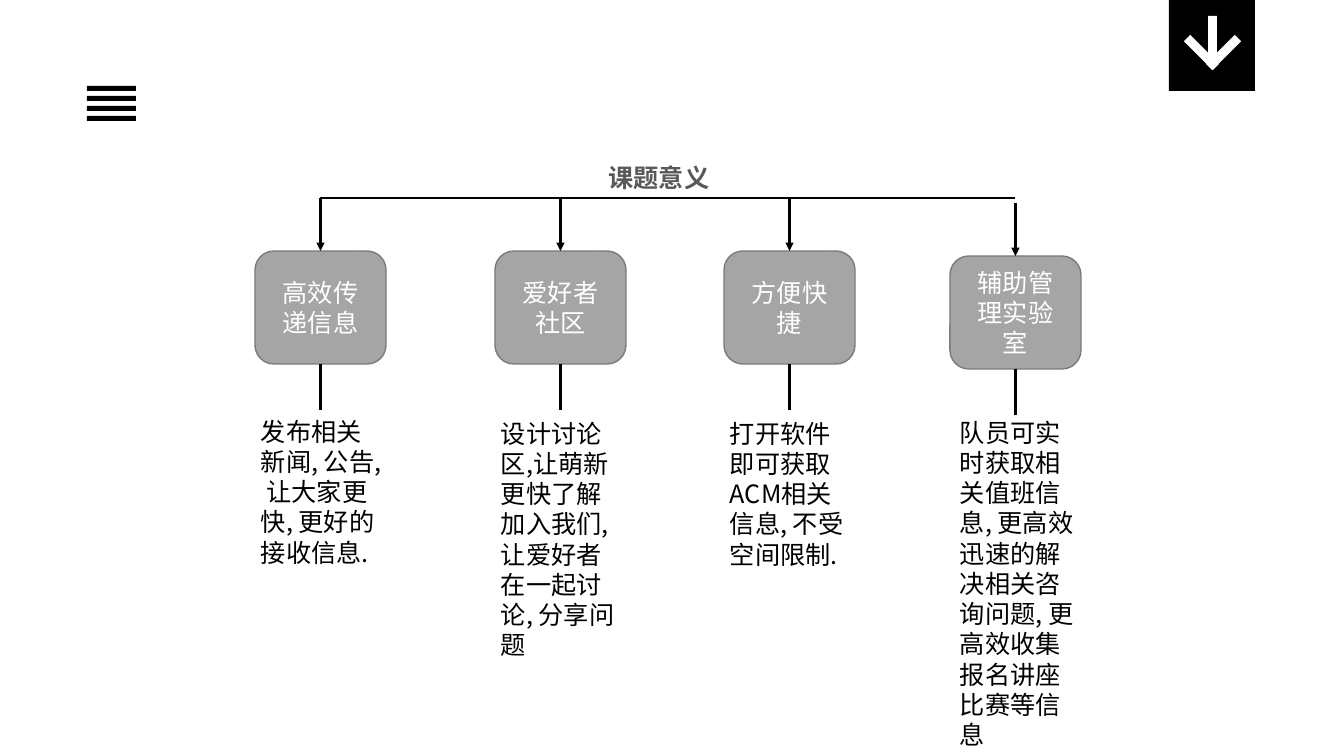
from dataclasses import dataclass

from lxml import etree
from pptx import Presentation
from pptx.dml.color import RGBColor
from pptx.enum.shapes import MSO_CONNECTOR, MSO_SHAPE
from pptx.enum.text import MSO_ANCHOR, MSO_AUTO_SIZE, PP_ALIGN
from pptx.oxml.ns import qn
from pptx.util import Pt

RECTANGLE, ROUNDED = MSO_SHAPE.RECTANGLE, MSO_SHAPE.ROUNDED_RECTANGLE
STRAIGHT = MSO_CONNECTOR.STRAIGHT
TOP, MIDDLE = MSO_ANCHOR.TOP, MSO_ANCHOR.MIDDLE
LEFT, CENTER = PP_ALIGN.LEFT, PP_ALIGN.CENTER
NO_AUTOFIT = MSO_AUTO_SIZE.NONE
TITLE_ONLY = 5


@dataclass(frozen=True)
class Theme:
    font: str = "Noto Sans CJK SC"
    size: int = 18
    black: str = "000000"
    white: str = "FFFFFF"
    title: str = "595959"
    box: str = "A5A5A5"
    border: str = "7A7A7A"
    border_width: float = 1
    line_width: float = 1.5


THEME = Theme()

# Content: heading, description, then box left, box top, description left, top, height in px
TITLE = "课题意义"
BRANCHES = [
    ("高效传递信息", "发布相关新闻, 公告, 让大家更快, 更好的接收信息.",
     255, 251, 251, 411, 163),
    ("爱好者社区", "设计讨论区,让萌新更快了解加入我们, 让爱好者在一起讨论, 分享问题",
     495, 251, 491, 413, 254),
    ("方便快捷", "打开软件即可获取ACM相关信息, 不受空间限制.",
     724, 251, 720, 413, 163),
    ("辅助管理实验室", "队员可实时获取相关值班信息, 更高效迅速的解决相关咨询问题, 更高效收集报名讲座比赛等信息",
     950, 256, 950, 412, 346),
]

# Geometry in px
SLIDE_SIZE = (1344, 756)
BOX_WIDTH, BOX_HEIGHT = 131, 113
TEXT_WIDTH = 137
BUS_TOP, ARROW_LENGTH, STEM_LENGTH = 198, 53, 46
MENU_LEFT, MENU_TOP, MENU_STEP = 87, 86, 10
ARROW_ICON = [(1219, 32, 41, 225), (1197, 32, 41, 135), (1208, 16, 49, 0)]


def px(value):
    return round(value * 914400 / 100.8)


def write(shape, text, color, align=LEFT, anchor=TOP, bold=False):
    frame = shape.text_frame
    frame.word_wrap = True
    frame.auto_size = NO_AUTOFIT
    frame.vertical_anchor = anchor
    frame.text = text
    paragraph = frame.paragraphs[0]
    paragraph.alignment = align
    font = paragraph.font
    font.name, font.size, font.bold = THEME.font, Pt(THEME.size), bold
    font.color.rgb = RGBColor.from_string(color)
    # East Asian typeface follows the Latin one
    latin = paragraph._p.pPr.find(qn("a:defRPr")).find(qn("a:latin"))
    east_asian = etree.Element(qn("a:ea"), typeface=THEME.font)
    latin.addnext(east_asian)


def add_block(slide, kind, left, top, width, height, fill, border=None):
    shape = slide.shapes.add_shape(kind, px(left), px(top), px(width), px(height))
    shape.shadow.inherit = False
    shape.fill.solid()
    shape.fill.fore_color.rgb = RGBColor.from_string(fill)
    if border:
        shape.line.color.rgb = RGBColor.from_string(border)
        shape.line.width = Pt(THEME.border_width)
    else:
        shape.line.fill.background()
    return shape


def add_line(slide, x1, y1, x2, y2, arrow=False):
    line = slide.shapes.add_connector(STRAIGHT, px(x1), px(y1), px(x2), px(y2))
    line.line.color.rgb = RGBColor.from_string(THEME.black)
    line.line.width = Pt(THEME.line_width)
    if arrow:
        etree.SubElement(line.line._get_or_add_ln(), qn("a:tailEnd"), type="triangle")
    etree.SubElement(line._element.spPr, qn("a:effectLst"))


def add_icons(slide):
    for index in range(4):
        add_block(slide, RECTANGLE, MENU_LEFT, MENU_TOP + index * MENU_STEP, 49, 5, THEME.black)
    add_block(slide, RECTANGLE, 1169, 0, 86, 91, THEME.black)
    for left, top, height, rotation in ARROW_ICON:
        bar = add_block(slide, RECTANGLE, left, top, 9, height, THEME.white)
        bar.rotation = rotation


def add_title(slide):
    title = slide.shapes.title
    title.left, title.top, title.width, title.height = px(556), px(157), px(206), px(40)
    write(title, TITLE, THEME.title, CENTER, bold=True)


def add_branch(slide, heading, description, left, top, text_left, text_top, text_height):
    center = left + BOX_WIDTH / 2
    box = add_block(slide, ROUNDED, left, top, BOX_WIDTH, BOX_HEIGHT, THEME.box, THEME.border)
    write(box, heading, THEME.white, CENTER, MIDDLE)
    add_line(slide, center, top - ARROW_LENGTH, center, top, arrow=True)
    stem_top = top + BOX_HEIGHT
    add_line(slide, center, stem_top, center, stem_top + STEM_LENGTH)
    text_box = slide.shapes.add_textbox(px(text_left), px(text_top), px(TEXT_WIDTH), px(text_height))
    write(text_box, description, THEME.black)


def main():
    presentation = Presentation()
    presentation.slide_width, presentation.slide_height = map(px, SLIDE_SIZE)
    slide = presentation.slides.add_slide(presentation.slide_layouts[TITLE_ONLY])

    add_icons(slide)
    add_title(slide)

    # Horizontal line joining the first and last branch
    first, last = (BRANCHES[i][2] + BOX_WIDTH / 2 for i in (0, -1))
    add_line(slide, first, BUS_TOP, last, BUS_TOP)
    for branch in BRANCHES:
        add_branch(slide, *branch)

    presentation.save("out.pptx")


if __name__ == "__main__":
    main()
